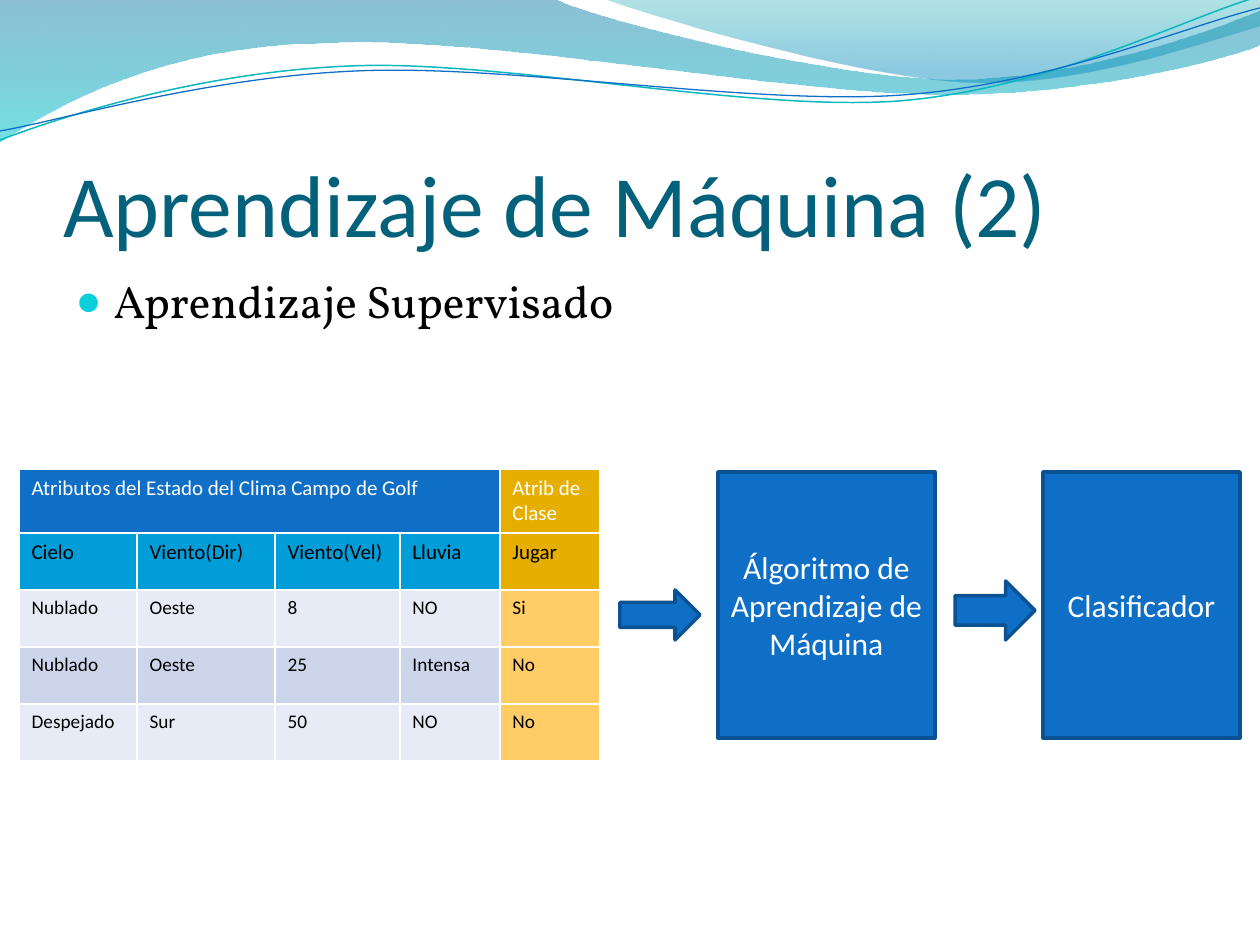
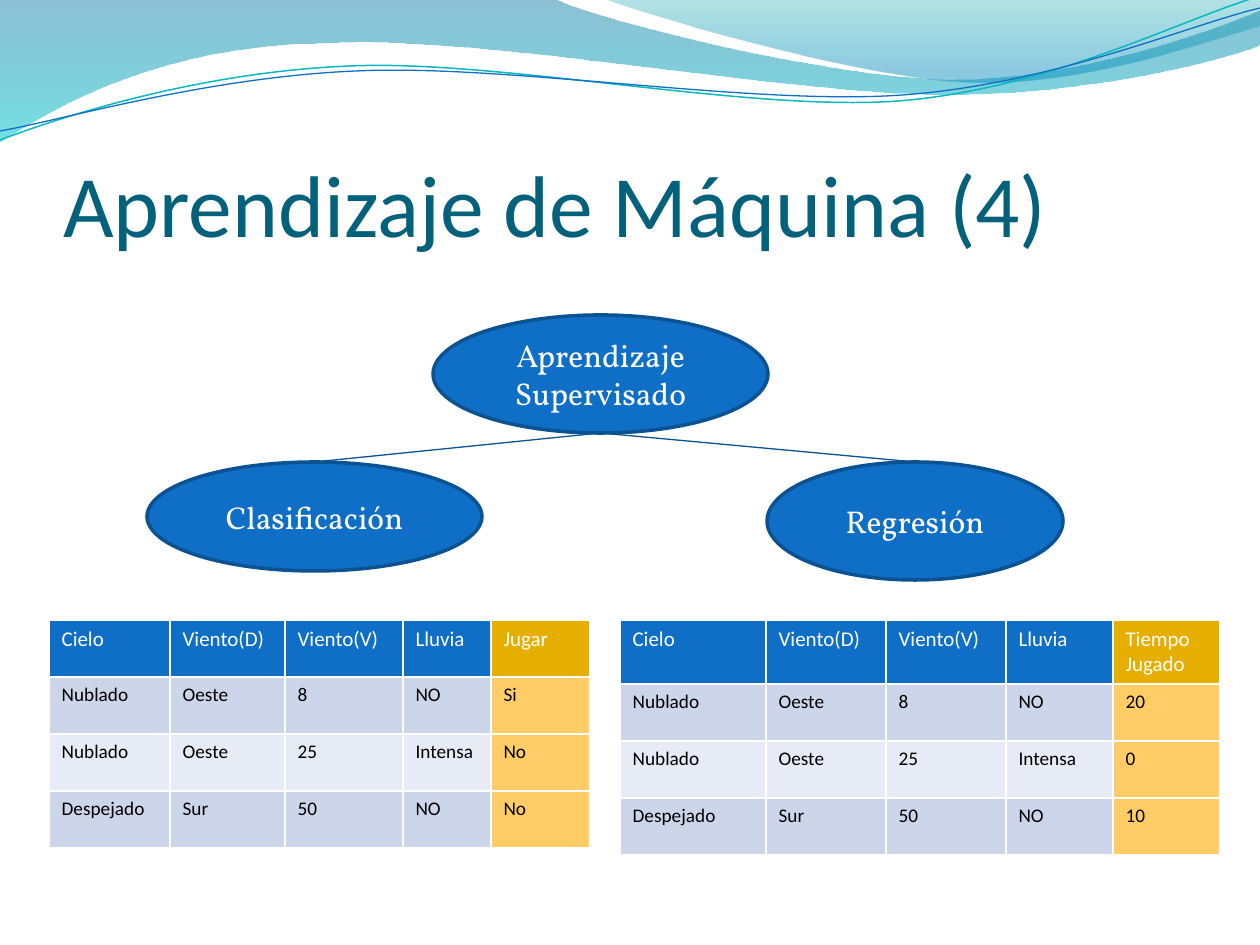
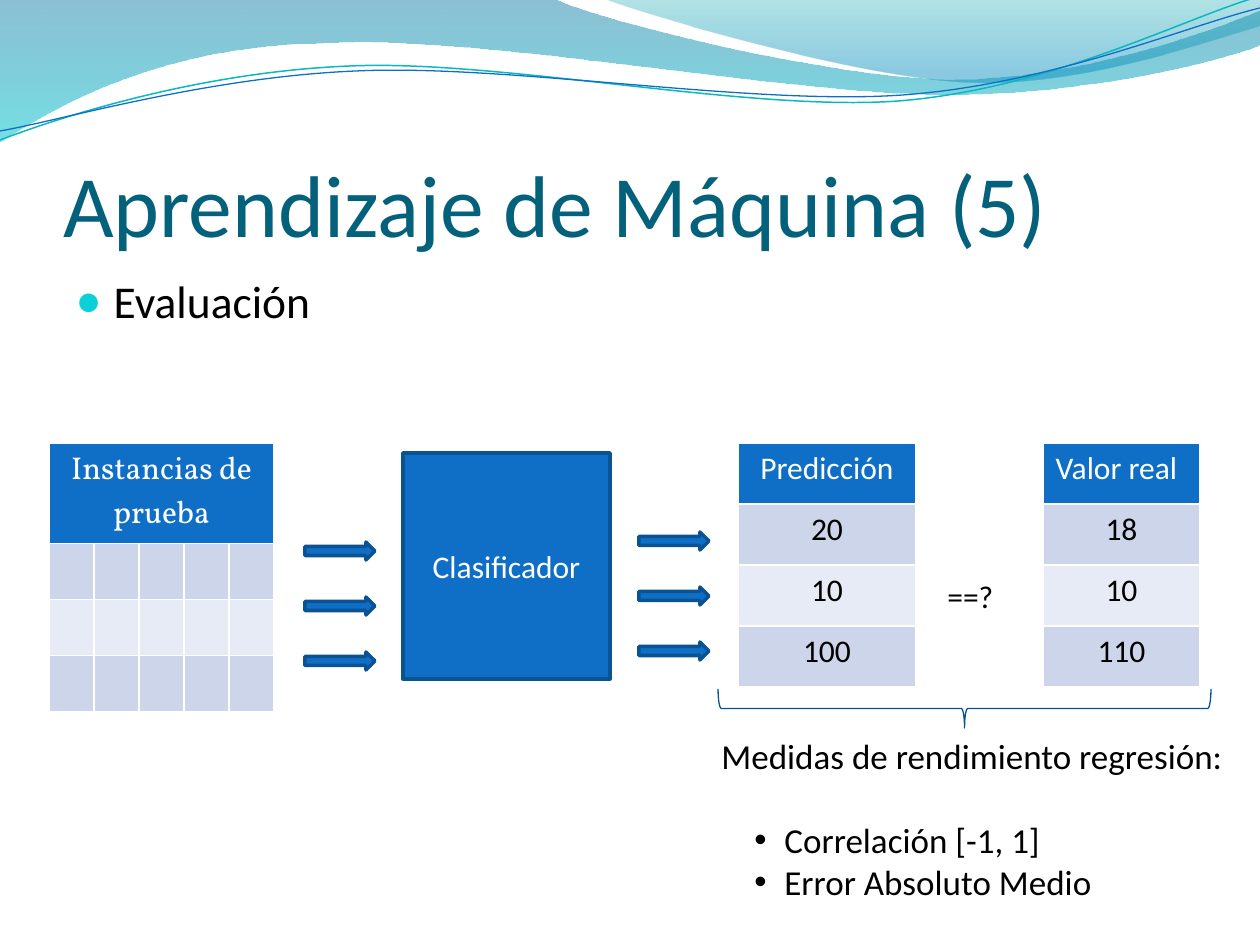
import lxml.etree
import pptx
import pptx.dml.color
import pptx.enum.shapes
import pptx.enum.text
import pptx.oxml.ns
import pptx.util

SCALE = 914400 / 126
HUES = {
    "white": "FFFFFF", "black": "000000", "title": "04617B",
    "blue": "0F6FC6", "edge": "0B5292", "link": "095295",
    "sky": "009DD9", "pale": "E7EBF5", "mist": "CCD5EA",
    "gold": "E6AF00", "sand": "FFCC66", "dot": "0BD0D9",
    "teal": "0AB8BF", "deep": "0074A1", "aqua": "00C6CF",
    "green": "00A1A9", "azure": "008BBF",
}
SANS, SERIF = "Calibri", "Vollkorn"
KIND = pptx.enum.shapes.MSO_SHAPE
ALIGN = pptx.enum.text.PP_ALIGN
ANCHOR = pptx.enum.text.MSO_ANCHOR
FIT = pptx.enum.text.MSO_AUTO_SIZE
DAYS = [
    ("Nublado", "Oeste", "8", "NO"),
    ("Nublado", "Oeste", "25", "Intensa"),
    ("Despejado", "Sur", "50", "NO"),
]
WAVES = [
    dict(start=(0, 0), legs=[
        [(554, -1)],
        [(600, 21), (837, 79), (955, 79)],
        [(1075, 79), (1207, 33), (1260, 11)],
        [(1261, 45)],
        [(1239, 55), (1096, 96), (940, 94)],
        [(784, 94), (481, 35), (324, 43)],
        [(163, 45), (58, 105), (-1, 142)],
    ], stops=[(0, "deep", 45), (1, "aqua", 55)]),
    dict(start=(604, -1), legs=[
        [(641, 14), (859, 78), (969, 82)],
        [(1079, 87), (1211, 40), (1260, 26)],
        [(1260, 0)],
    ], stops=[(0, "green", 30), (0.8, "azure", 45)]),
    dict(start=(0, 140), legs=[
        [(60, 117), (199, 72), (349, 66)],
        [(498, 59), (747, 112), (898, 101)],
        [(1050, 89), (1182, 19), (1257, -3)],
    ], line="teal", weight=0.85),
    dict(start=(0, 131), legs=[
        [(59, 121), (207, 77), (357, 71)],
        [(508, 64), (752, 106), (903, 95)],
        [(1053, 84), (1186, 26), (1260, 8)],
    ], line="blue", weight=0.75),
]


def px(*nums):
    return [pptx.util.Emu(round(num * SCALE)) for num in nums]


def rgb(hue):
    return pptx.dml.color.RGBColor.from_string(HUES[hue])


def tag(name):
    return pptx.oxml.ns.qn("a:" + name)


def place(shape, *rect):
    shape.left, shape.top, shape.width, shape.height = px(*rect)


def write(frame, text, size=18, font=SANS, hue="black", align=ALIGN.LEFT):
    par = frame.paragraphs[0]
    if par.runs:
        par = frame.add_paragraph()
    par.alignment = align
    run = par.add_run()
    run.text = text
    run.font.size = pptx.util.Pt(size)
    run.font.name = font
    run.font.bold = False
    run.font.color.rgb = rgb(hue)
    return par


def bullet(par, char, left, hang, hue="black", size=100):
    props = par._p.get_or_add_pPr()
    margin, indent = px(left, -hang)
    props.set("marL", str(margin))
    props.set("indent", str(indent))
    tint = lxml.etree.SubElement(props, tag("buClr"))
    lxml.etree.SubElement(tint, tag("srgbClr"), val=HUES[hue])
    lxml.etree.SubElement(props, tag("buSzPct"), val=str(size * 1000))
    lxml.etree.SubElement(props, tag("buFont"), typeface="Arial")
    lxml.etree.SubElement(props, tag("buChar"), char=char)


def wave(slide, start, legs, stops=None, line=None, weight=1):
    pen = slide.shapes.build_freeform(*px(*start))
    pen.add_line_segments([px(*dot) for leg in legs for dot in leg], close=bool(stops))
    shape = pen.convert_to_shape()
    shape.shadow.inherit = False
    steps = iter(list(shape.element.iter(tag("lnTo"))))
    for leg in legs:
        group = [next(steps) for dot in leg]
        if len(leg) == 3:
            curve = lxml.etree.Element(tag("cubicBezTo"))
            group[0].addprevious(curve)
            for step in group:
                curve.append(step[0])
                step.getparent().remove(step)
    if stops:
        shape.line.fill.background()
        shape.fill.gradient()
        shape.fill.gradient_angle = 270
        for stop, (spot, hue, alpha) in zip(shape.fill.gradient_stops, stops):
            stop.position = spot
            stop.color.rgb = rgb(hue)
        for tint, (spot, hue, alpha) in zip(shape.element.iter(tag("srgbClr")), stops):
            lxml.etree.SubElement(tint, tag("alpha"), val=str(alpha * 1000))
    else:
        shape.fill.background()
        shape.line.color.rgb = rgb(line)
        shape.line.width = pptx.util.Pt(weight)
    return shape


def dress(deck, slide):
    tree = deck.slide_master.shapes.element
    for spot, wish in enumerate(WAVES, start=2):
        tree.insert(spot, wave(slide, **wish).element)


def open_slide(deck, number, topic=None, font=SANS):
    slide = deck.slides.add_slide(deck.slide_layouts[1 if topic else 5])
    title = slide.shapes.title
    place(title, 63, 97, 1134, 158)
    frame = title.text_frame
    frame.auto_size = FIT.NONE
    frame.vertical_anchor = ANCHOR.BOTTOM
    frame.margin_left = frame.margin_right = frame.margin_bottom = 0
    write(frame, f"Aprendizaje de Máquina ({number})", size=50, hue="title")
    if topic:
        body = slide.placeholders[1]
        place(body, 63, 267, 1134, 605)
        body.text_frame.auto_size = FIT.NONE
        par = write(body.text_frame, topic, size=26, font=font)
        bullet(par, "●", 38, 38, hue="dot", size=95)
    return slide


def box(slide, kind, rect, label=None, font=SANS):
    shape = slide.shapes.add_shape(kind, *px(*rect))
    shape.shadow.inherit = False
    shape.fill.solid()
    shape.fill.fore_color.rgb = rgb("blue")
    shape.line.color.rgb = rgb("edge")
    shape.line.width = pptx.util.Pt(2)
    if label:
        shape.text_frame.vertical_anchor = ANCHOR.MIDDLE
        write(shape.text_frame, label, font=font, hue="white", align=ALIGN.CENTER)
    return shape


def brace(slide, rect):
    shape = slide.shapes.add_shape(KIND.RIGHT_BRACE, *px(*rect))
    shape.shadow.inherit = False
    shape.rotation = 90
    shape.fill.background()
    shape.line.color.rgb = rgb("link")
    shape.line.width = pptx.util.Pt(0.75)


def link(slide, start, node):
    end = (node.left + node.width // 2, node.top)
    line = slide.shapes.add_connector(
        pptx.enum.shapes.MSO_CONNECTOR.STRAIGHT, *start, *end)
    line.end_connect(node, 0)
    line.line.color.rgb = rgb("link")
    line.line.width = pptx.util.Pt(0.75)
    lxml.etree.SubElement(line.element.spPr, tag("effectLst"))


def note(slide, rect):
    frame = slide.shapes.add_textbox(*px(*rect)).text_frame
    frame.word_wrap = True
    return frame


def tone(row, heads, key):
    if key:
        return "gold" if row < heads else "sand"
    if row < heads:
        return "sky" if row else "blue"
    return "mist" if row % 2 else "pale"


def grid(slide, spot, cols, rows, data, heads=1, key=False, sizes=(12, 11),
         font=SANS, align=ALIGN.LEFT, top=None):
    table = slide.shapes.add_table(
        len(rows), len(cols), *px(*spot, sum(cols), sum(rows))).table
    for col, width in zip(table.columns, px(*cols)):
        col.width = width
    for row, height in zip(table.rows, px(*rows)):
        row.height = height
    span = data[0].count(None)
    if span:
        table.cell(0, 0).merge(table.cell(0, span))
    for r, line in enumerate(data):
        for c, text in enumerate(line):
            cell = table.cell(r, c)
            cell.fill.solid()
            cell.fill.fore_color.rgb = rgb(tone(r, heads, key and c == len(cols) - 1))
            if text:
                write(cell.text_frame, text, size=sizes[r >= heads], font=font,
                      hue="black" if r else "white",
                      align=align if r or top is None else top)


def records(*marks):
    return [(*day, mark) for day, mark in zip(DAYS, marks)]


def train(slide):
    names = ("Cielo", "Viento(Dir)", "Viento(Vel)", "Lluvia", "Jugar")
    group = ("Atributos del Estado del Clima Campo de Golf", None, None, None,
             "Atrib de Clase")
    grid(slide, (19, 469), [118, 138, 125, 100, 100], [64] + [57] * 4,
         [group, names] + records("Si", "No", "No"), heads=2, key=True)
    box(slide, KIND.RECTANGLE, (718, 472, 217, 266), "Álgoritmo de Aprendizaje de Máquina")
    box(slide, KIND.RECTANGLE, (1043, 472, 197, 266), "Clasificador")
    box(slide, KIND.RIGHT_ARROW, (620, 590, 80, 50))
    box(slide, KIND.RIGHT_ARROW, (955, 581, 80, 59))


def divide(slide):
    root = box(slide, KIND.OVAL, (433, 315, 335, 118), "Aprendizaje Supervisado", SERIF)
    start = (root.left + root.width // 2, root.top + root.height)
    for rect, label in [((147, 462, 335, 109), "Clasificación"),
                        ((767, 462, 296, 118), "Regresión")]:
        link(slide, start, box(slide, KIND.OVAL, rect, label, SERIF))
    names = ("Cielo", "Viento(D)", "Viento(V)", "Lluvia")
    grid(slide, (49, 620), [121, 115, 118, 88, 99], [57] * 4,
         [(*names, "Jugar")] + records("Si", "No", "No"), key=True)
    grid(slide, (620, 620), [146, 120, 120, 107, 107], [64] + [57] * 3,
         [(*names, "Tiempo Jugado")] + records("20", "0", "10"), key=True)


def assess(slide):
    grid(slide, (49, 443), [45] * 5, [100] + [56] * 3,
         [("Instancias de prueba", None, None, None, None)] + [("",) * 5] * 3,
         sizes=(18, 18), font=SERIF, align=ALIGN.CENTER)
    box(slide, KIND.RECTANGLE, (403, 453, 207, 226), "Clasificador")
    for left, width, top, words in [
            (738, 178, ALIGN.CENTER, ("Predicción", "20", "10", "100")),
            (1043, 157, ALIGN.LEFT, ("Valor real", "18", "10", "110"))]:
        grid(slide, (left, 443), [width], [61] * 4, [(word,) for word in words],
             sizes=(18, 18), align=ALIGN.CENTER, top=top)
    write(note(slide, (935, 571, 88, 50)), "==?")
    brace(slide, (945, 462, 39, 493))
    frame = note(slide, (709, 728, 532, 184))
    write(frame, "Medidas de rendimiento regresión:", size=20)
    items = [write(frame, text, size=20)
             for text in ("Correlación [-1, 1]", "Error Absoluto Medio")]
    items[0].space_before = pptx.util.Pt(24)
    for item in items:
        bullet(item, "•", 63, 30)
    for left, top in [(305, 542), (639, 532)]:
        for step in range(3):
            box(slide, KIND.RIGHT_ARROW, (left, top + 55 * step, 70, 18))


def main():
    deck = pptx.Presentation()
    deck.slide_width, deck.slide_height = px(1260, 945)
    first = open_slide(deck, 2, "Aprendizaje Supervisado", SERIF)
    dress(deck, first)
    train(first)
    divide(open_slide(deck, 4))
    assess(open_slide(deck, 5, "Evaluación"))
    deck.save("out.pptx")


if __name__ == "__main__":
    main()
